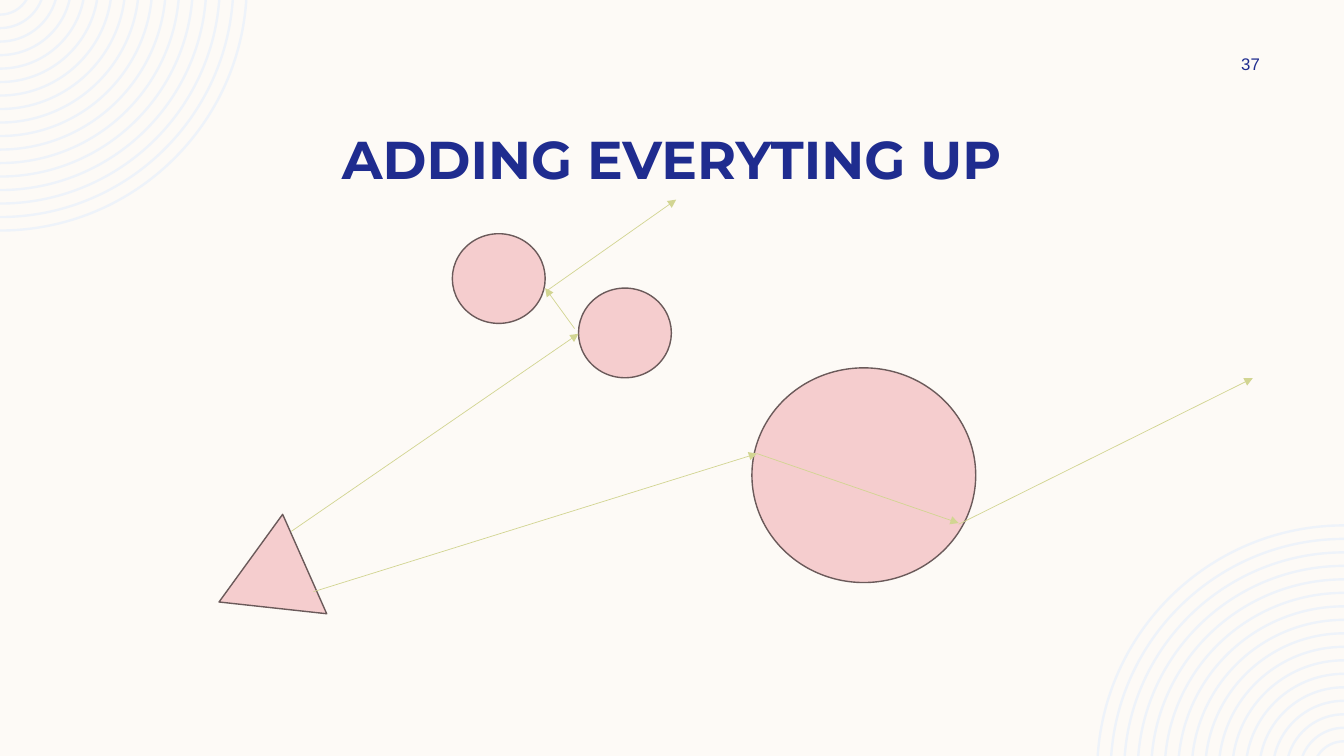
from dataclasses import dataclass
from math import asin, cos, pi, sin, tan

from lxml.etree import SubElement
from pptx import Presentation
from pptx.dml.color import RGBColor
from pptx.enum.shapes import MSO_CONNECTOR as Connector, MSO_SHAPE as Shape
from pptx.enum.text import MSO_ANCHOR as Anchor, PP_ALIGN as Align
from pptx.oxml.ns import qn
from pptx.util import Cm, Pt


@dataclass(frozen=True)
class Theme:
    background: RGBColor = RGBColor.from_string("FDFAF6")
    rings: RGBColor = RGBColor.from_string("EEF3FA")
    text: RGBColor = RGBColor.from_string("1F2C8F")
    body: RGBColor = RGBColor.from_string("F5CDCE")
    outline: RGBColor = RGBColor.from_string("6B5A5A")
    ray: RGBColor = RGBColor.from_string("D2D592")
    title_font: str = "Montserrat"
    number_font: str = "Arial"
    title_size: Pt = Pt(38)
    title_spacing: Pt = Pt(48.8)
    number_size: Pt = Pt(12)
    outline_width: Pt = Pt(1)
    ray_width: Pt = Pt(0.5)


@dataclass(frozen=True)
class Box:
    """Left, top, width and height in centimetres."""
    left: float
    top: float
    width: float
    height: float

    def lengths(self):
        return Cm(self.left), Cm(self.top), Cm(self.width), Cm(self.height)

    def within(self, outer):
        return Box(outer.left + self.left, outer.top + self.top, self.width, self.height)


THEME = Theme()
PAGE = Box(0, 0, 33.87, 19.05)

RING_COUNT = 17
RING_RADIUS = 6.25
RING_STEP = 0.34
RING_WIDTH = 0.06
RING_RISE = 0.41  # distance of the common centre beyond the page edge

SMALL_BALLS = [Box(6.4, 0.89, 2.34, 2.26), Box(9.58, 2.26, 2.34, 2.26)]
BIG_BALL = Box(13.95, 4.27, 5.64, 5.41)
CAMERA = Box(0.23, 8.51, 2.74, 2.36)
CAMERA_TURN = 246.1
REFLECTED_RAYS = [
    ((2.34, 8.39), (9.58, 3.41)),
    ((9.48, 3.28), (8.74, 2.26)),
    ((8.79, 2.32), (12.04, 0.03)),
]
REFRACTED_RAYS = [
    ((2.9, 9.91), (14.08, 6.43)),
    ((14.08, 6.43), (19.16, 8.18)),
    ((19.16, 8.21), (26.57, 4.53)),
]


def arc(radius):
    """Start, two Bézier handles and end of the arc between the page edges."""
    start = asin(RING_RISE / radius)
    x, y = radius * cos(start), radius * sin(start) - RING_RISE
    bottom = radius - RING_RISE
    handle = 4 / 3 * tan((pi / 2 - start) / 4) * radius
    return [
        (x, y),
        (x - handle * sin(start), y + handle * cos(start)),
        (handle, bottom),
        (0, bottom),
    ]


def curve_arcs(rings):
    """Turn both arcs of every ring from lines through their handles into curves."""
    outline = next(rings._element.iter(qn("a:path")))
    lines = outline.findall(qn("a:lnTo"))
    for ring_start in range(0, len(lines), 8):
        for arc_start in (ring_start, ring_start + 4):
            first, *others = lines[arc_start:arc_start + 3]
            first.tag = qn("a:cubicBezTo")
            for line in others:
                first.append(line[0])
                outline.remove(line)


def add_corner_rings(slide, corner_x, corner_y, direction):
    """Draw the rings inward from a corner; direction is 1 at top left, -1 at bottom right."""
    def place(point):
        return Cm(corner_x + direction * point[0]), Cm(corner_y + direction * point[1])

    builder = None
    for ring in range(RING_COUNT):
        radius = RING_RADIUS - ring * RING_STEP
        edge = arc(radius) + arc(radius - RING_WIDTH)[::-1]
        first, *rest = [place(point) for point in edge]
        if builder is None:
            builder = slide.shapes.build_freeform(*first)
        else:
            builder.move_to(*first)
        builder.add_line_segments([*rest, first], close=True)
    rings = builder.convert_to_shape()
    curve_arcs(rings)
    rings.shadow.inherit = False
    rings.fill.solid()
    rings.fill.fore_color.rgb = THEME.rings
    rings.line.fill.background()


def format_text(frame, font_name, size, alignment, bold=False):
    frame.word_wrap = True
    frame.vertical_anchor = Anchor.MIDDLE
    paragraph = frame.paragraphs[0]
    paragraph.alignment = alignment
    font = paragraph.runs[0].font
    font.name, font.size, font.bold = font_name, size, bold
    font.color.rgb = THEME.text


def add_title(slide, box, wording):
    title = slide.shapes.title
    title.left, title.top, title.width, title.height = box.lengths()
    title.text_frame.text = wording
    format_text(title.text_frame, THEME.title_font, THEME.title_size, Align.CENTER, True)
    title.text_frame.paragraphs[0].line_spacing = THEME.title_spacing


def add_page_number(slide, box, number):
    frame = slide.shapes.add_textbox(*box.lengths()).text_frame
    frame.text = number
    frame.margin_right = 0
    format_text(frame, THEME.number_font, THEME.number_size, Align.RIGHT)


def add_body(slide, kind, box, turn=0):
    body = slide.shapes.add_shape(kind, *box.lengths())
    body.rotation = turn
    body.shadow.inherit = False
    body.fill.solid()
    body.fill.fore_color.rgb = THEME.body
    body.line.color.rgb = THEME.outline
    body.line.width = THEME.outline_width


def add_ray(slide, box, start, end):
    x1, y1, x2, y2 = (
        Cm(offset + value)
        for offset, value in zip((box.left, box.top) * 2, start + end)
    )
    ray = slide.shapes.add_connector(Connector.STRAIGHT, x1, y1, x2, y2)
    ray.line.color.rgb = THEME.ray
    ray.line.width = THEME.ray_width
    SubElement(ray.line._get_or_add_ln(), qn("a:tailEnd"), type="triangle")
    SubElement(ray._element.spPr, qn("a:effectLst"))


def add_ray_diagram(slide, box):
    """Camera, balls and the rays travelling between them."""
    add_body(slide, Shape.ISOSCELES_TRIANGLE, CAMERA.within(box), CAMERA_TURN)
    for ball in [*SMALL_BALLS, BIG_BALL]:
        add_body(slide, Shape.OVAL, ball.within(box))
    for start, end in REFLECTED_RAYS + REFRACTED_RAYS:
        add_ray(slide, box, start, end)


def main():
    deck = Presentation()
    deck.slide_width, deck.slide_height = Cm(PAGE.width), Cm(PAGE.height)
    slide = deck.slides.add_slide(deck.slide_layouts.get_by_name("Title Only"))
    slide.background.fill.solid()
    slide.background.fill.fore_color.rgb = THEME.background

    add_corner_rings(slide, PAGE.left, PAGE.top, 1)
    add_corner_rings(slide, PAGE.width, PAGE.height, -1)
    add_title(slide, Box(2.11, 2.03, 29.64, 3.78), "ADDING EVERYTING UP")
    add_page_number(slide, Box(29.01, 1.27, 2.74, 0.69), "37")
    add_ray_diagram(slide, Box(5, 5, 26.6, 11))
    deck.save("out.pptx")


if __name__ == "__main__":
    main()
